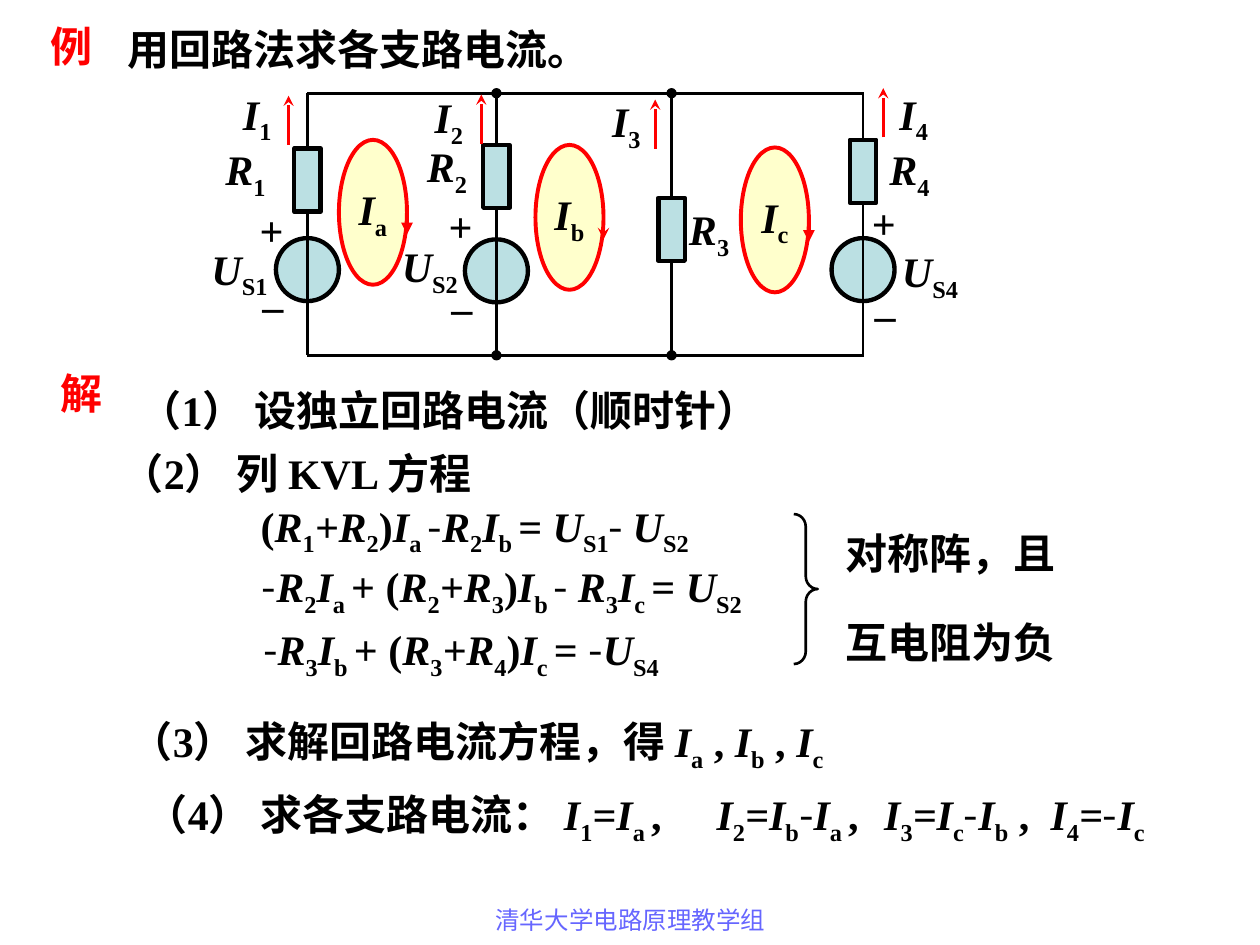
from lxml.etree import SubElement
from pptx import Presentation
from pptx.dml.color import RGBColor
from pptx.enum.shapes import MSO_CONNECTOR as Link, MSO_SHAPE as Shape
from pptx.enum.text import MSO_ANCHOR as Anchor, MSO_AUTO_SIZE as AutoSize, PP_ALIGN as Align
from pptx.oxml.ns import qn
from pptx.util import Inches, Pt

COLORS = {"ink": "000000", "accent": "FF0000", "part": "BBE0E3", "loop": "FFFFCC", "footer": "6666FF"}
SERIF, SANS = "Times New Roman", "Noto Sans CJK SC"
PART_SIZE = 0.5
RESISTOR_WIDTH = 0.21
LOOP_SIZE = (0.54, 1.15)
CIRCUIT_SIZE = (4.42, 2.08)

# Offsets from the top of each branch; x is measured from the circuit's left side.
BRANCHES = [
    dict(name="1", x=0, resistor=0.44, source=1.15, arrow=(-0.15, 0.41), current=(-0.61, -0.09),
         resistance=(-0.75, 0.35), voltage=(-0.86, 1.14), plus=(-0.48, 0.83), minus=(-0.46, 1.32)),
    dict(name="2", x=1.5, resistor=0.41, source=1.16, arrow=(-0.12, 0.4), current=(-0.59, -0.06),
         resistance=(-0.65, 0.33), voltage=(-0.85, 1.12), plus=(-0.48, 0.8), minus=(-0.46, 1.33),
         ends="oval"),
    dict(name="3", x=2.89, resistor=0.83, arrow=(-0.13, 0.44), current=(-0.57, -0.03),
         resistance=(0.04, 0.83), ends="oval"),
    dict(name="4", x=4.41, resistor=0.37, source=1.15, arrow=(0.16, 0.35), current=(0.19, -0.09),
         resistance=(0.11, 0.35), voltage=(0.21, 1.16), plus=(-0.03, 0.78), minus=(-0.01, 1.39)),
]
LOOPS = [("a", 0.25, 0.37, "triangle"), ("b", 1.81, 0.41, "stealth"), ("c", 3.44, 0.43, "triangle")]

EQUATIONS = [
    (1.97, 3.92, "(|/R|_1|/+R|_2|)|/I|_a |~-|/R|_2|/I|_b |= |/U|_S1|~- |/U|_S2"),
    (1.98, 4.4, "~-|/R|_2|/I|_a |+ (|/R|_2|/+R|_3|)|/I|_b |~- |/R|_3|/I|_c |= |/U|_S2"),
    (1.99, 4.9, "~-|/R|_3|/I|_b |+ (|/R|_3|/+R|_4|)|/I|_c |= |~-|/U|_S4"),
]


def color(name):
    return RGBColor.from_string(COLORS[name])


def write(box, text, size=24, ink="ink", bold=True, align=Align.LEFT, anchor=Anchor.TOP,
          wrap=True, gap=0, tabs=()):
    """Fill a box; "|" parts spans, marked / italic, _ subscript or ~ light sans."""
    frame = box.text_frame
    frame.auto_size = AutoSize.NONE
    frame.word_wrap = wrap
    frame.vertical_anchor = anchor
    frame.margin_left = frame.margin_right = Inches(0.1)
    frame.margin_top = frame.margin_bottom = Inches(0.05)
    for index, line in enumerate(text.split("\n")):
        para = frame.add_paragraph() if index else frame.paragraphs[0]
        para.alignment = align
        if index:
            para.space_before = Pt(gap)
        if tabs:
            stops = SubElement(para._p.get_or_add_pPr(), qn("a:tabLst"))
            for stop in tabs:
                SubElement(stops, qn("a:tab"), pos=str(Inches(stop)), algn="l")
        for part in line.split("|"):
            mark = part[0] if part[0] in "/_~" and len(part) > 1 else ""
            span = para.add_run()
            span.text = part[len(mark):]
            font = span.font
            font.size = Pt(size)
            font.name = SANS if mark == "~" else SERIF
            font.bold = bold and mark != "~"
            font.italic = mark == "/"
            font.color.rgb = color(ink)
            props = span._r.get_or_add_rPr()
            if mark == "_":
                props.set("baseline", "-25000")
            props.find(qn("a:latin")).addnext(props.makeelement(qn("a:ea"), {"typeface": SANS}))


def add_text(page, x, y, width, height, text, **style):
    box = page.shapes.add_textbox(Inches(x), Inches(y), Inches(width), Inches(height))
    write(box, text, **style)


def add_part(page, kind, x, y, width, height, fill=None, line="ink", weight=2.5):
    part = page.shapes.add_shape(kind, Inches(x), Inches(y), Inches(width), Inches(height))
    part.shadow.inherit = False
    if fill:
        part.fill.solid()
        part.fill.fore_color.rgb = color(fill)
    else:
        part.fill.background()
    part.line.color.rgb = color(line)
    part.line.width = Pt(weight)
    return part


def add_wire(page, x1, y1, x2, y2, line="ink", weight=1.5, head=None, tail=None):
    wire = page.shapes.add_connector(Link.STRAIGHT, Inches(x1), Inches(y1), Inches(x2), Inches(y2))
    wire.line.color.rgb = color(line)
    wire.line.width = Pt(weight)
    for tag, end in (("a:headEnd", head), ("a:tailEnd", tail)):
        if end:
            SubElement(wire.line._get_or_add_ln(), qn(tag), type=end)
    SubElement(wire._element.spPr, qn("a:effectLst"))


def add_loop(page, x, y, name, tip):
    width, height = LOOP_SIZE
    loop = add_part(page, Shape.OVAL, x, y, width, height, "loop", "accent", 2.25)
    write(loop, f"/I|_{name}", align=Align.CENTER, anchor=Anchor.MIDDLE, wrap=False)
    add_wire(page, x + width, y + 0.56, x + width, y + 0.75, "accent", 2.25, tail=tip)


def add_branch(page, x, top, bottom, branch):
    """Draw one branch from top to bottom, with its source if it has one."""
    name, ends = branch["name"], branch.get("ends")

    def label(key, width, height, text, **style):
        dx, dy = branch[key]
        add_text(page, x + dx, top + dy, width, height, text, **style)

    if "source" in branch:
        add_part(page, Shape.OVAL, x - PART_SIZE / 2, top + branch["source"],
                 PART_SIZE, PART_SIZE, "part")
        sign = dict(align=Align.CENTER, anchor=Anchor.MIDDLE, wrap=False)
        label("plus", 0.39, 0.5, "+", **sign)
        label("minus", 0.37, 0.5, "_", **sign)
        label("voltage", 0.85, 0.56, f"/U|_S{name}")
    add_wire(page, x, top, x, bottom, head=ends, tail=ends)
    add_part(page, Shape.RECTANGLE, x - RESISTOR_WIDTH / 2, top + branch["resistor"],
             RESISTOR_WIDTH, PART_SIZE, "part")
    label("current", 0.58, 0.56, f"/I|_{name}")
    label("resistance", 0.67, 0.56, f"/R|_{name}")
    dx, dy = branch["arrow"]
    add_wire(page, x + dx, top + dy, x + dx, top + dy - 0.39, "accent", tail="stealth")


def add_circuit(page, left, top, width, height):
    for name, dx, dy, tip in LOOPS:
        add_loop(page, left + dx, top + dy, name, tip)
    for y in (top, top + height):
        add_wire(page, left, y, left + width, y)
    for branch in BRANCHES:
        add_branch(page, left + branch["x"], top, top + height, branch)


def add_heading(page, left, top):
    add_text(page, left, top, 1, 0.5, "例", ink="accent")
    title = page.shapes.title
    title.left, title.top = Inches(left + 0.61), Inches(top + 0.03)
    title.width, title.height = Inches(4.25), Inches(0.5)
    write(title, "用回路法求各支路电流。")


def add_equations(page):
    for x, y, text in EQUATIONS:
        add_text(page, x, y, 4.53, 0.56, text)
    brace = add_part(page, Shape.RIGHT_BRACE, 6.3, 4.08, 0.19, 1.19, weight=1.5)
    brace.adjustments[0] = 0.53
    add_text(page, 6.61, 4.14, 1.93, 1.7, "对称阵，且\n互电阻为负", gap=22)


def add_solution(page):
    add_text(page, 0.38, 2.87, 0.9, 0.5, "解", ink="accent")
    add_text(page, 1.01, 3, 5.69, 0.5, "（1） 设独立回路电流（顺时针）")
    add_text(page, 0.87, 3.5, 3.46, 0.5, "（2） 列 KVL 方程")
    add_equations(page)
    add_text(page, 0.94, 5.63, 6.03, 0.56,
             "（3） 求解回路电流方程，得 |/I|_a| ,|/ I|_b| , |/I|_c")
    add_text(page, 1.06, 6.21, 8.5, 0.56,
             "（4） 求各支路电流： |/I|_1|/=I|_a |,\t|/I|_2|/=I|_b|~-|/I|_a |,\t"
             "|/I|_3|/=I|_c|~-|/I|_b| ,\t|/I|_4|/=|~-|/I|_c", tabs=(4.53, 5.86, 7.18))


def main():
    deck = Presentation()
    deck.slide_width, deck.slide_height = Inches(10), Inches(7.5)
    page = deck.slides.add_slide(deck.slide_layouts.get_by_name("Title Only"))
    add_heading(page, 0.3, 0.11)
    add_circuit(page, 2.44, 0.74, *CIRCUIT_SIZE)
    add_solution(page)
    add_text(page, 3.42, 7.13, 3.17, 0.52, "清华大学电路原理教学组", size=14, ink="footer",
             bold=False, align=Align.CENTER)
    deck.save("out.pptx")


if __name__ == "__main__":
    main()
